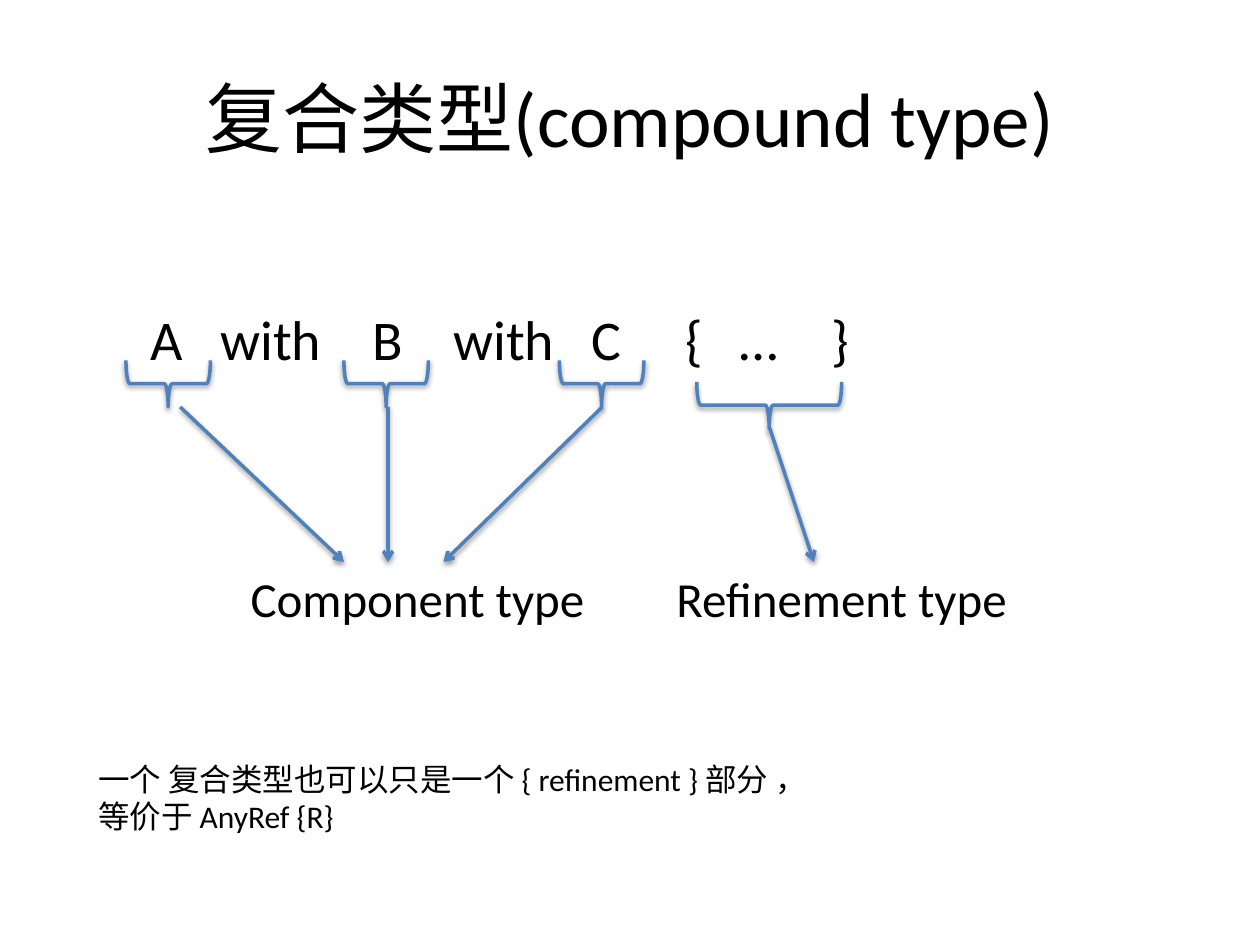
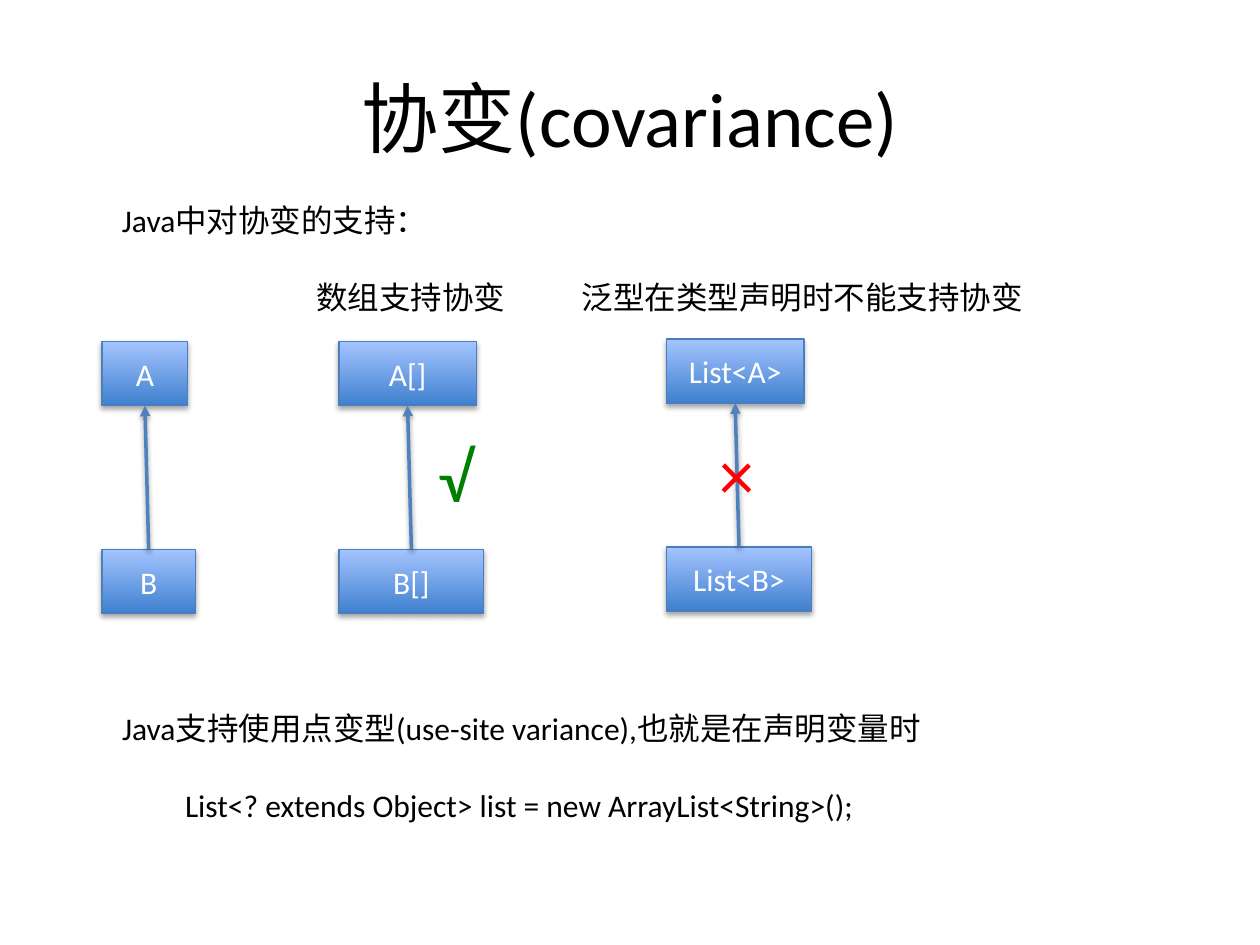
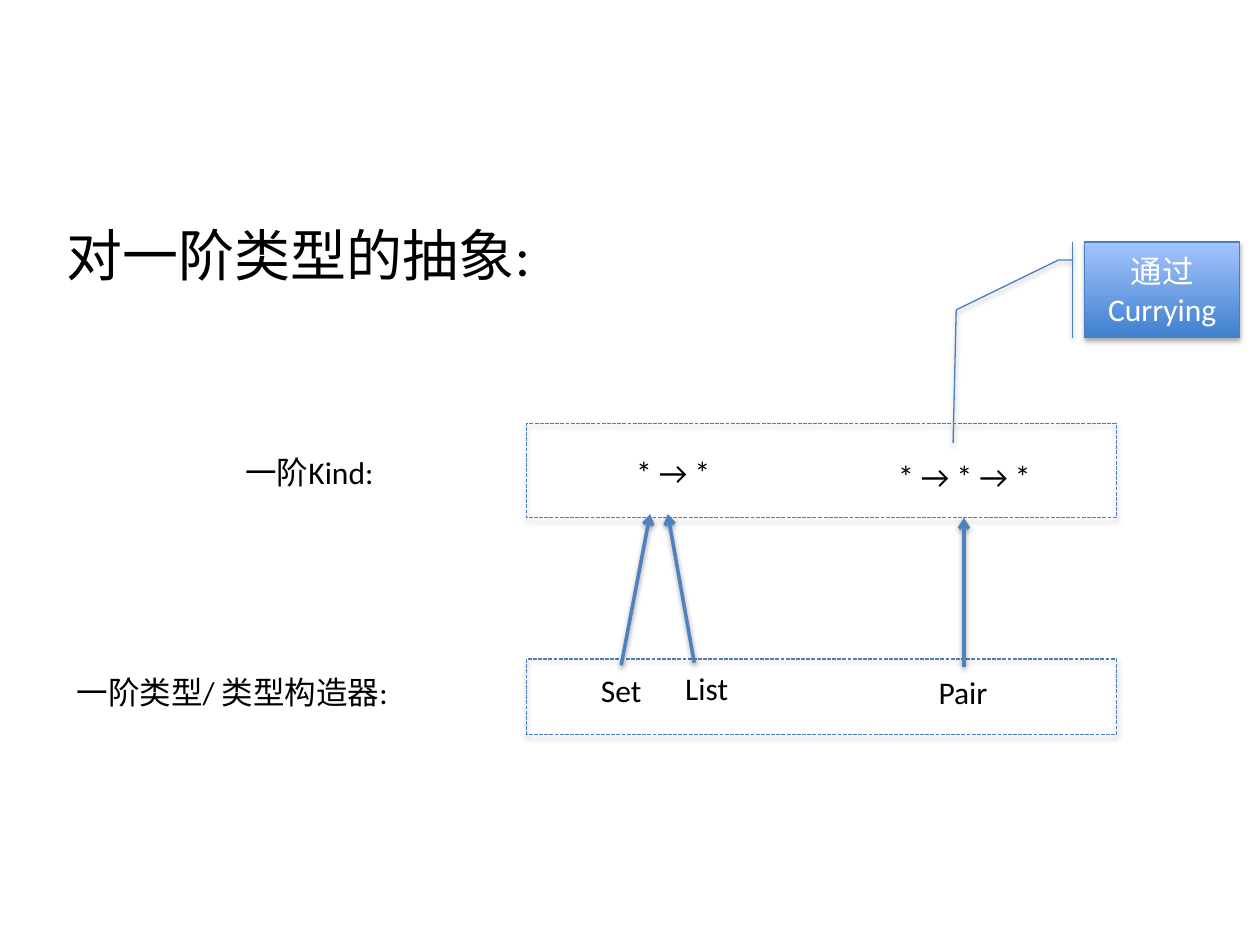
from lxml.etree import SubElement
from pptx import Presentation
from pptx.dml.color import RGBColor
from pptx.enum.dml import MSO_LINE
from pptx.enum.shapes import MSO_CONNECTOR, MSO_SHAPE
from pptx.enum.text import MSO_ANCHOR, PP_ALIGN
from pptx.oxml.ns import qn
from pptx.util import Inches, Pt

COLS, ROWS = 100, 75
TITLE_ONLY, BLANK = 5, 6


def rgb(value):
    return RGBColor.from_string(value)


class Deck:
    font = "Calibri"
    ink, white = "000000", "FFFFFF"
    accent, border = "4F81BD", "4B7EBC"
    gradient = ("3F80CE", "A4C4FF")
    body, label, heading, mark, title_size = 18, 28, 32, 40, 44

    def __init__(self):
        self.prs = Presentation()
        self.prs.slide_width, self.prs.slide_height = Inches(10), Inches(7.5)
        self.col = self.prs.slide_width / COLS
        self.row = self.prs.slide_height / ROWS

    def place(self, x, y, w, h):
        return [int(v) for v in (x * self.col, y * self.row, w * self.col, h * self.row)]

    def style(self, p, size, color, align=PP_ALIGN.LEFT):
        p.alignment = align
        p.font.name, p.font.size = self.font, Pt(size)
        p.font.color.rgb = rgb(color)

    def slide(self, title=None):
        layout = self.prs.slide_layouts[TITLE_ONLY if title else BLANK]
        self.s = self.prs.slides.add_slide(layout)
        if title:
            sp = self.s.shapes.title
            sp.left, sp.top, sp.width, sp.height = self.place(5, 3, 90, 12.5)
            sp.text_frame.text = title
            sp.text_frame.vertical_anchor = MSO_ANCHOR.MIDDLE
            self.style(sp.text_frame.paragraphs[0], self.title_size, self.ink, PP_ALIGN.CENTER)

    def text(self, x, y, w, h, text, size=body, color=ink, indent=0):
        tf = self.s.shapes.add_textbox(*self.place(x, y, w, h)).text_frame
        tf.word_wrap = True
        tf.text = text
        for p in tf.paragraphs:
            self.style(p, size, color)
        if indent:
            tf.paragraphs[-1]._p.get_or_add_pPr().set("marL", str(int(indent * self.col)))
        return tf

    def tabbed(self, x, y, w, h, stops, size):
        tf = self.text(x, y, w, h, "".join("\t" + word for word, _ in stops), size)
        tf.vertical_anchor = MSO_ANCHOR.BOTTOM
        tf.margin_bottom = int(2.8 * self.row)
        tabs = SubElement(tf.paragraphs[0]._p.get_or_add_pPr(), qn("a:tabLst"))
        for _, pos in stops:
            SubElement(tabs, qn("a:tab"), pos=str(int(pos * self.col)), algn="l")

    def shadow(self, effects, alpha, dist):
        shade = SubElement(effects, qn("a:outerShdw"), blurRad=str(Pt(3.1)),
                           dist=str(Pt(dist)), dir="5400000", rotWithShape="0")
        clr = SubElement(shade, qn("a:srgbClr"), val=self.ink)
        SubElement(clr, qn("a:alpha"), val=str(alpha * 1000))

    def shape(self, kind, x, y, w, h, color, width, alpha=35, dist=1.8):
        sp = self.s.shapes.add_shape(kind, *self.place(x, y, w, h))
        sp.fill.background()
        sp.line.color.rgb, sp.line.width = rgb(color), Pt(width)
        sp.shadow.inherit = False
        self.shadow(sp._element.spPr.find(qn("a:effectLst")), alpha, dist)
        return sp

    def box(self, x, y, w, h, text, kind=MSO_SHAPE.RECTANGLE):
        sp = self.shape(kind, x, y, w, h, self.border, 0.75)
        sp.fill.gradient()
        sp.fill.gradient_angle = 90
        for stop, color in zip(sp.fill.gradient_stops, self.gradient):
            stop.color.rgb = rgb(color)
        sp.text_frame.text = text
        sp.text_frame.vertical_anchor = MSO_ANCHOR.MIDDLE
        self.style(sp.text_frame.paragraphs[0], self.body, self.white, PP_ALIGN.CENTER)
        return sp

    def frame(self, x, y, w, h):
        sp = self.shape(MSO_SHAPE.RECTANGLE, x, y, w, h, self.border, 0.75)
        sp.line.dash_style = MSO_LINE.SQUARE_DOT

    def brace(self, cx, cy, span, depth=3.7):
        sp = self.shape(MSO_SHAPE.LEFT_BRACE, cx - depth / 2, cy - span / 2, depth, span,
                        self.accent, 2, 38, 1.6)
        sp.rotation = 270

    def arrow(self, x1, y1, x2, y2, head="arrow"):
        ends = self.place(x1, y1, x2, y2)
        cx = self.s.shapes.add_connector(MSO_CONNECTOR.STRAIGHT, *ends)
        cx.line.color.rgb, cx.line.width = rgb(self.accent), Pt(2)
        SubElement(cx.line._get_or_add_ln(), qn("a:tailEnd"), type=head)
        self.shadow(SubElement(cx._element.spPr, qn("a:effectLst")), 38, 1.6)


def compound_type(d):
    d.slide("复合类型(compound type)")
    d.tabbed(5, 17, 68.7, 15.3, [("A", 6), ("with", 11.5), ("B", 23.6), ("with", 30),
                                 ("C", 41), ("{", 48.4), ("…", 52.7), ("}", 60)], d.heading)
    for cx in (13.35, 30.65, 47.75):
        d.brace(cx, 30.45, 6.7)
    d.brace(61.05, 32.15, 11.5)
    for x1, y1, x2 in ((14.3, 32.3, 27.3), (30.8, 32.3, 30.8),
                       (47.8, 32.3, 35.2), (61.1, 34, 64.6)):
        d.arrow(x1, y1, x2, 44.6)
    d.text(18.9, 44.6, 28.8, 5.7, "Component type", d.label)
    d.text(52.7, 44.6, 29.7, 5.7, "Refinement type", d.label)
    d.text(6.8, 59.8, 68.2, 7.1, "一个 复合类型也可以只是一个 { refinement } 部分 ，\n等价于 AnyRef {R}")


def covariance(d):
    d.slide("协变(covariance)")
    height, drop = 5.1, 16.5
    for x, y, w, extra, parent, child in ((8.1, 27.1, 6.8, 0.6, "A", "B"),
                                          (52.9, 26.9, 10.9, 0.6, "List<A>", "List<B>"),
                                          (26.9, 27.1, 10.9, 0.6, "A[]", "B[]")):
        d.box(x, y, w, height, parent)
        d.box(x, y + drop, w + extra, height, child)
        d.arrow(x + (w + extra) / 2, y + drop, x + w / 2, y + height, "triangle")
    d.text(24.1, 21.6, 17.8, 4, "数组支持协变")
    d.text(45.2, 21.6, 37.4, 4, "泛型在类型声明时不能支持协变")
    d.text(33.8, 33.8, 4.6, 7.7, "√", d.mark, "008000")
    d.text(56.1, 33.7, 4.6, 7.7, "×", d.mark, "FF0000")
    d.text(8.7, 15.5, 26.6, 4, "Java中对协变的支持：")
    tf = d.text(8.7, 55.8, 66.2, 10.1,
                "Java支持使用点变型(use-site variance),也就是在声明变量时\n"
                "List<? extends Object> list = new ArrayList<String>();", indent=5)
    tf.paragraphs[1].space_before = Pt(22)


def first_order_kinds(d):
    d.slide()
    d.text(4.3, 17, 45, 8.4, "对一阶类型的抽象:", d.heading)
    d.frame(41.8, 33.6, 46.8, 7.5)
    d.frame(41.8, 52.3, 46.8, 6)
    d.text(18.5, 35.5, 12.3, 4, "一阶Kind:")
    d.text(5.1, 52.9, 27, 4, "一阶类型/ 类型构造器:")
    d.text(48.4, 35.5, 9.2, 4, "* → *", indent=1.1)
    d.text(69.2, 35.8, 16.2, 4, "* → * → *", indent=1.1)
    for x, y, w, name in ((46.7, 52.8, 5.5, "Set"), (53.4, 52.6, 5.7, "List"),
                          (73.5, 52.9, 6.2, "Pair")):
        d.text(x, y, w, 4, name)
    for x1, y1, x2, y2 in ((49.3, 52.8, 51.6, 40.8), (55.1, 52.6, 53, 40.8),
                           (76.5, 52.9, 76.5, 41.1)):
        d.arrow(x1, y1, x2, y2)
    note = d.box(86.1, 19.2, 12.3, 7.6, "通过Currying",
                 MSO_SHAPE.LINE_CALLOUT_3_BORDER_AND_ACCENT_BAR)
    for i, value in enumerate((0.19, -0.08, 0.19, -0.17, 0.71, -0.83, 2.1, -0.85)):
        note.adjustments[i] = value


deck = Deck()
for build in (compound_type, covariance, first_order_kinds):
    build(deck)
deck.prs.save("out.pptx")
